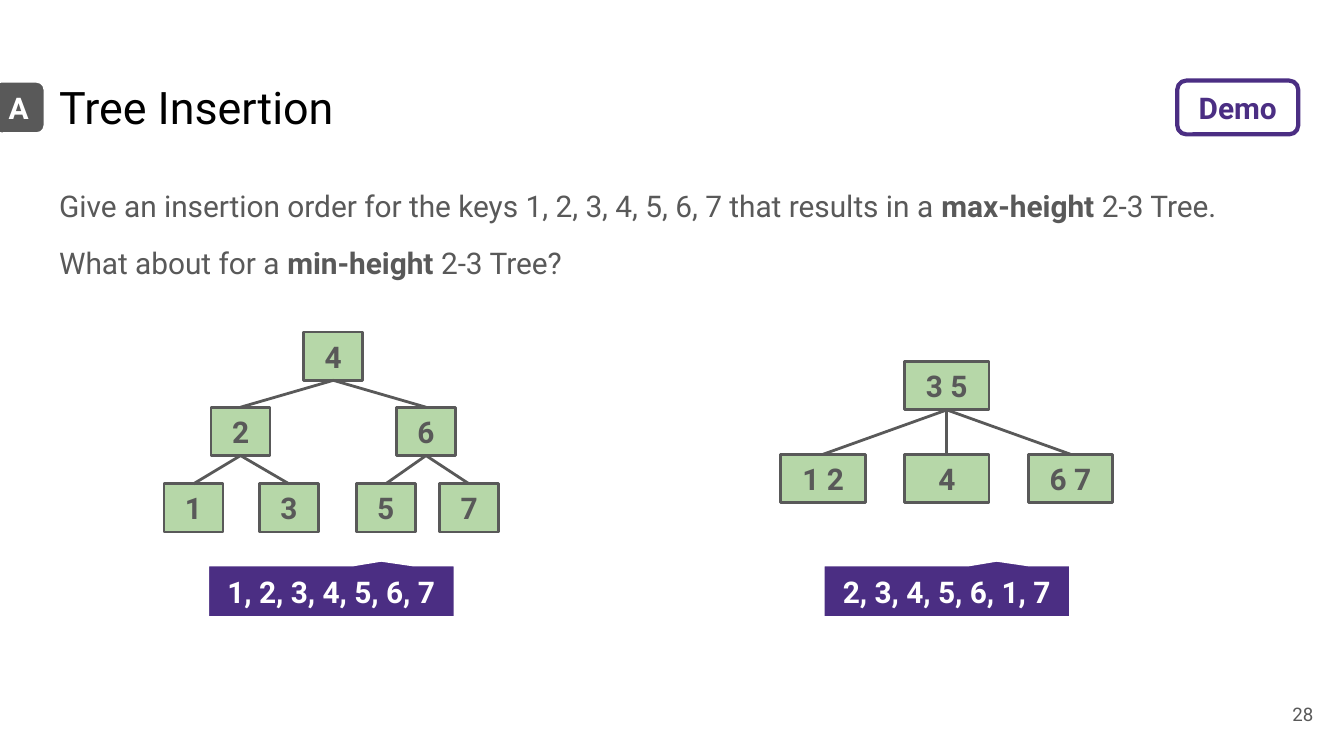
"""Build the 2-3 tree insertion slide."""
from lxml import etree
from pptx import Presentation
from pptx import util as u
from pptx.dml import color
from pptx.enum import shapes, text
from pptx.oxml import ns

GREY, GREEN, PURPLE, WHITE = "595959", "B6D7A8", "4B2E83", "FFFFFF"
colour = color.RGBColor.from_string

presentation = Presentation()
presentation.slide_width = u.Inches(10)
presentation.slide_height = u.Inches(5.625)
column = presentation.slide_width / 100
row = presentation.slide_height / 56.25
slide = presentation.slides.add_slide(presentation.slide_layouts[1])


def set_frame(shape, left, top, width, height, anchor):
    """Place a shape on the grid and prepare its text frame."""
    shape.left, shape.width = round(left * column), round(width * column)
    shape.top, shape.height = round(top * row), round(height * row)
    frame = shape.text_frame
    frame.word_wrap = True
    frame.auto_size = text.MSO_AUTO_SIZE.NONE
    frame.vertical_anchor = anchor
    frame.margin_left = frame.margin_right = u.Inches(0.1)
    frame.margin_top = frame.margin_bottom = u.Inches(0.1)
    return frame


def add_run(paragraph, words, size, hex_colour, bold=False):
    """Append one formatted run to a paragraph."""
    run = paragraph.add_run()
    run.text = words
    run.font.name, run.font.size, run.font.bold = "Roboto", u.Pt(size), bold
    run.font.color.rgb = colour(hex_colour)


title = set_frame(slide.shapes.title, 3.4, 4.9, 93.2, 6.3, text.MSO_ANCHOR.TOP)
title.paragraphs[0].alignment = text.PP_ALIGN.LEFT
add_run(title.paragraphs[0], "Tree Insertion", 24, "000000")

body = set_frame(slide.placeholders[1], 3.4, 12.6, 93.2, 9, text.MSO_ANCHOR.TOP)
body.add_paragraph()
questions = [
    ("Give an insertion order for the keys 1, 2, 3, 4, 5, 6, 7 that results in a ", "max-height", 0),
    ("What about for a ", "min-height", 8),
]
for paragraph, (opening, emphasis, gap) in zip(body.paragraphs, questions):
    properties = paragraph._p.get_or_add_pPr()
    properties.set("marL", "0")
    properties.set("indent", "0")
    etree.SubElement(properties, ns.qn("a:buNone"))
    paragraph.line_spacing = 1.15
    paragraph.space_before = paragraph.space_after = u.Pt(gap)
    add_run(paragraph, opening, 16, GREY)
    add_run(paragraph, emphasis, 16, GREY, True)
    add_run(paragraph, " 2-3 Tree.".replace(".", "?" if gap else "."), 16, GREY)

number = slide.shapes.add_textbox(0, 0, 0, 0)
number_frame = set_frame(number, 92.7, 51, 6, 4.3, text.MSO_ANCHOR.MIDDLE)
number_frame.paragraphs[0].alignment = text.PP_ALIGN.RIGHT
add_run(number_frame.paragraphs[0], "28", 10, GREY)

tall_tree = {"2": (15.7, 30.3), "6": (29.5, 30.3), "4": (22.6, 24.7),
             "1": (12.2, 36), "3": (19.3, 36), "5": (26.5, 36), "7": (32.7, 36)}
short_tree = {"3 5": (67.3, 26.9), "1 2": (58.1, 33.8),
              "6 7": (76.5, 33.8), "4": (67.3, 33.8)}
trees = [
    (tall_tree, 4.4, ["42", "23", "21", "65", "67", "46"]),
    (short_tree, 6.3, [("3 5", "1 2"), ("3 5", "4"), ("3 5", "6 7")]),
]
kinds = shapes.MSO_SHAPE
rounded, callout = kinds.ROUNDED_RECTANGLE, kinds.ROUNDED_RECTANGULAR_CALLOUT
boxes = [("A", rounded, -0.6, 6, 4, 4, GREY, WHITE, WHITE, 2.25)]
for nodes, width, links in trees:
    boxes += [(keys, kinds.RECTANGLE, left, top, width, 3.6, GREEN, GREY, GREY, 1.5)
              for keys, (left, top) in nodes.items()]
boxes += [
    ("1, 2, 3, 4, 5, 6, 7", callout, 15.4, 42, 18.5, 4, PURPLE, WHITE, WHITE, 2.25),
    ("2, 3, 4, 5, 6, 1, 7", callout, 61.2, 42, 18.5, 4, PURPLE, WHITE, WHITE, 2.25),
    ("Demo", rounded, 87.6, 6, 9, 4, WHITE, PURPLE, PURPLE, 2.25),
]
drawn = {}
for words, kind, left, top, width, height, fill, line, ink, weight in boxes:
    shape = slide.shapes.add_shape(kind, 0, 0, 0, 0)
    shape.shadow.inherit = False
    shape.fill.solid()
    shape.fill.fore_color.rgb = colour(fill)
    shape.line.color.rgb = colour(line)
    shape.line.width = u.Pt(weight)
    if kind == callout:
        for index, value in enumerate((0.2, -0.59, 0)):
            shape.adjustments[index] = value
    frame = set_frame(shape, left, top, width, height, text.MSO_ANCHOR.MIDDLE)
    frame.paragraphs[0].alignment = text.PP_ALIGN.CENTER
    add_run(frame.paragraphs[0], words, 16, ink, True)
    drawn[words, left, top] = shape

for nodes, width, links in trees:
    for parent, child in links:
        connector = slide.shapes.add_connector(shapes.MSO_CONNECTOR.STRAIGHT, 0, 0, 0, 0)
        connector.begin_connect(drawn[(parent, *nodes[parent])], 2)
        connector.end_connect(drawn[(child, *nodes[child])], 0)
        connector.line.color.rgb = colour(GREY)
        connector.line.width = u.Pt(1.5)
        etree.SubElement(connector._element.spPr, ns.qn("a:effectLst"))

presentation.save("out.pptx")
